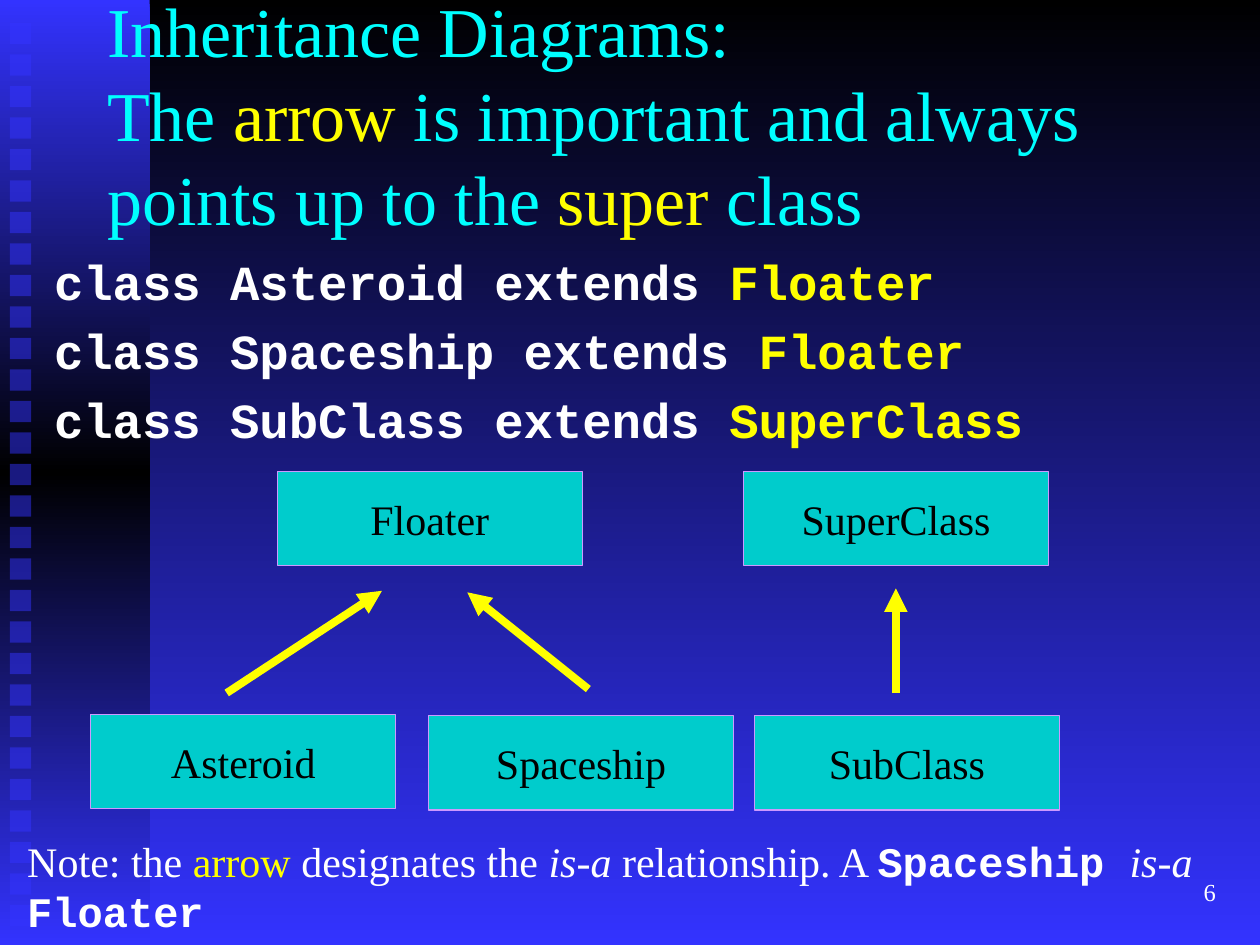
from lxml import etree
from pptx import Presentation
from pptx.dml.color import RGBColor
from pptx.enum import shapes, text
from pptx.oxml.ns import qn
from pptx.util import Cm, Pt

BLUE, BLACK, WHITE = "3333FF", "000000", "FFFFFF"
CYAN, YELLOW, TEAL, LILAC = "00FFFF", "FFFF00", "00CCCC", "CC99FF"
SERIF, MONO = "Times New Roman", "Courier New"
SLIDE_W, SLIDE_H = 25.4, 19.05
CLASS_W, CLASS_H = 6.15, 1.9


def color(hex_string):
    return RGBColor.from_string(hex_string)


def fill_gradient(fill, element, hex_stops):
    """Spread the colours evenly from top to bottom."""
    fill.gradient()
    fill.gradient_angle = 270
    stop_list = element.find(".//" + qn("a:gsLst"))
    for stop in list(stop_list):
        stop_list.remove(stop)
    for i, hex_stop in enumerate(hex_stops):
        position = str(100000 * i // (len(hex_stops) - 1))
        stop = etree.SubElement(stop_list, qn("a:gs"), pos=position)
        etree.SubElement(stop, qn("a:srgbClr"), val=hex_stop)


def add_rectangle(parent, left, top, width, height):
    rectangle = parent.add_shape(shapes.MSO_SHAPE.RECTANGLE, Cm(left), Cm(top), Cm(width), Cm(height))
    rectangle.shadow.inherit = False
    rectangle.line.fill.background()
    return rectangle


def add_runs(paragraph, runs, size, font=SERIF, bold=False):
    """Each run is (words, colour) plus an optional dict of font changes."""
    for words, hex_color, *changes in runs:
        run = paragraph.add_run()
        run.text = words
        style = {"name": font, "bold": bold, "italic": False, "size": Pt(size)}
        style.update(*changes)
        for key, value in style.items():
            setattr(run.font, key, value)
        run.font.color.rgb = color(hex_color)


def add_text(slide, box, paragraphs, size, anchor=text.MSO_ANCHOR.TOP, **style):
    frame = slide.shapes.add_textbox(*map(Cm, box)).text_frame
    frame.word_wrap = True
    frame.vertical_anchor = anchor
    for i, runs in enumerate(paragraphs):
        paragraph = frame.add_paragraph() if i else frame.paragraphs[0]
        add_runs(paragraph, runs, size, **style)
    return frame


def add_side_band(slide, left, top, width, height):
    band = slide.shapes.add_group_shape().shapes
    backdrop = add_rectangle(band, left, top, width, height)
    fill_gradient(backdrop.fill, backdrop.element, [BLUE, BLACK, BLUE])
    for i in range(29):
        square = add_rectangle(band, left + 0.2, top + 0.46 + i * height / 30, 0.43, 0.43)
        square.fill.solid()
        square.fill.fore_color.rgb = color(BLUE)
        tint = square.element.spPr.find(".//" + qn("a:srgbClr"))
        etree.SubElement(tint, qn("a:alpha"), val="50000")


def add_title(slide, *box):
    add_text(slide, box, [
        [("Inheritance Diagrams:", CYAN)],
        [("The ", CYAN), ("arrow", YELLOW),
         (" is important and always points up to the ", CYAN),
         ("super", YELLOW), (" class", CYAN)],
    ], 40, text.MSO_ANCHOR.MIDDLE)


def add_declarations(slide, *box):
    pairs = [("Asteroid", "Floater"), ("Spaceship", "Floater"), ("SubClass", "SuperClass")]
    lines = [[(f"class {child} extends ", WHITE), (parent, YELLOW)] for child, parent in pairs]
    frame = add_text(slide, box, lines, 28, font=MONO, bold=True)
    for i, paragraph in enumerate(frame.paragraphs):
        properties = paragraph._p.get_or_add_pPr()
        properties.set("marL", str(Cm(0.95)))
        properties.set("indent", str(-Cm(0.95)))
        if i:
            paragraph.space_before = Pt(5.6)


def add_class_box(slide, name, left, top):
    class_box = add_rectangle(slide.shapes, left, top, CLASS_W, CLASS_H)
    class_box.fill.solid()
    class_box.fill.fore_color.rgb = color(TEAL)
    class_box.line.color.rgb = color(LILAC)
    class_box.line.width = Pt(0.75)
    frame = class_box.text_frame
    frame.vertical_anchor = text.MSO_ANCHOR.MIDDLE
    label = frame.paragraphs[0]
    label.alignment = text.PP_ALIGN.CENTER
    add_runs(label, [(name, BLACK)], 24)


def add_arrow(slide, *ends):
    arrow = slide.shapes.add_connector(shapes.MSO_CONNECTOR.STRAIGHT, *map(Cm, ends))
    arrow.line.color.rgb = color(YELLOW)
    arrow.line.width = Pt(4.5)
    etree.SubElement(arrow.line._get_or_add_ln(), qn("a:tailEnd"), type="triangle")
    etree.SubElement(arrow.element.spPr, qn("a:effectLst"))


def add_diagram(slide, left, top):
    """Class boxes and arrows, measured from the diagram's top left corner."""
    for name, x, y in [("Floater", 3.76, 0), ("SuperClass", 13.16, 0),
                       ("Asteroid", 0, 4.9), ("Spaceship", 6.81, 4.93),
                       ("SubClass", 13.38, 4.93)]:
        add_class_box(slide, name, left + x, top + y)
    for x1, y1, x2, y2 in [(2.74, 4.47, 5.87, 2.41), (10.03, 4.39, 7.59, 2.44),
                           (16.23, 4.47, 16.23, 2.36)]:
        add_arrow(slide, left + x1, top + y1, left + x2, top + y2)


def add_note(slide, *box):
    code = {"name": MONO, "bold": True}
    italic = {"italic": True}
    add_text(slide, box, [[
        ("Note: the ", WHITE), ("arrow", YELLOW), (" designates the ", WHITE),
        ("is-a ", WHITE, italic), ("relationship. A ", WHITE),
        ("Spaceship ", WHITE, code), ("is-a ", WHITE, italic), ("Floater", WHITE, code),
    ]], 24)


def add_page_number(slide, *box):
    frame = add_text(slide, box, [[("6", WHITE)]], 14, text.MSO_ANCHOR.MIDDLE)
    frame.paragraphs[0].alignment = text.PP_ALIGN.RIGHT


def main():
    deck = Presentation()
    deck.slide_width, deck.slide_height = Cm(SLIDE_W), Cm(SLIDE_H)
    slide = deck.slides.add_slide(deck.slide_layouts[6])
    fill_gradient(slide.background.fill, slide.element, [BLACK, BLUE])
    add_side_band(slide, 0, 0, 3.02, SLIDE_H)
    add_page_number(slide, 19.48, 17.35, 5.28, 1.27)
    add_title(slide, 1.91, 0.43, 21.59, 3.73)
    add_declarations(slide, 0.84, 4.95, 22.66, 5.51)
    add_diagram(slide, 1.83, 9.5)
    add_note(slide, 0.3, 16.71, 25.1, 2.31)
    deck.save("out.pptx")


if __name__ == "__main__":
    main()
